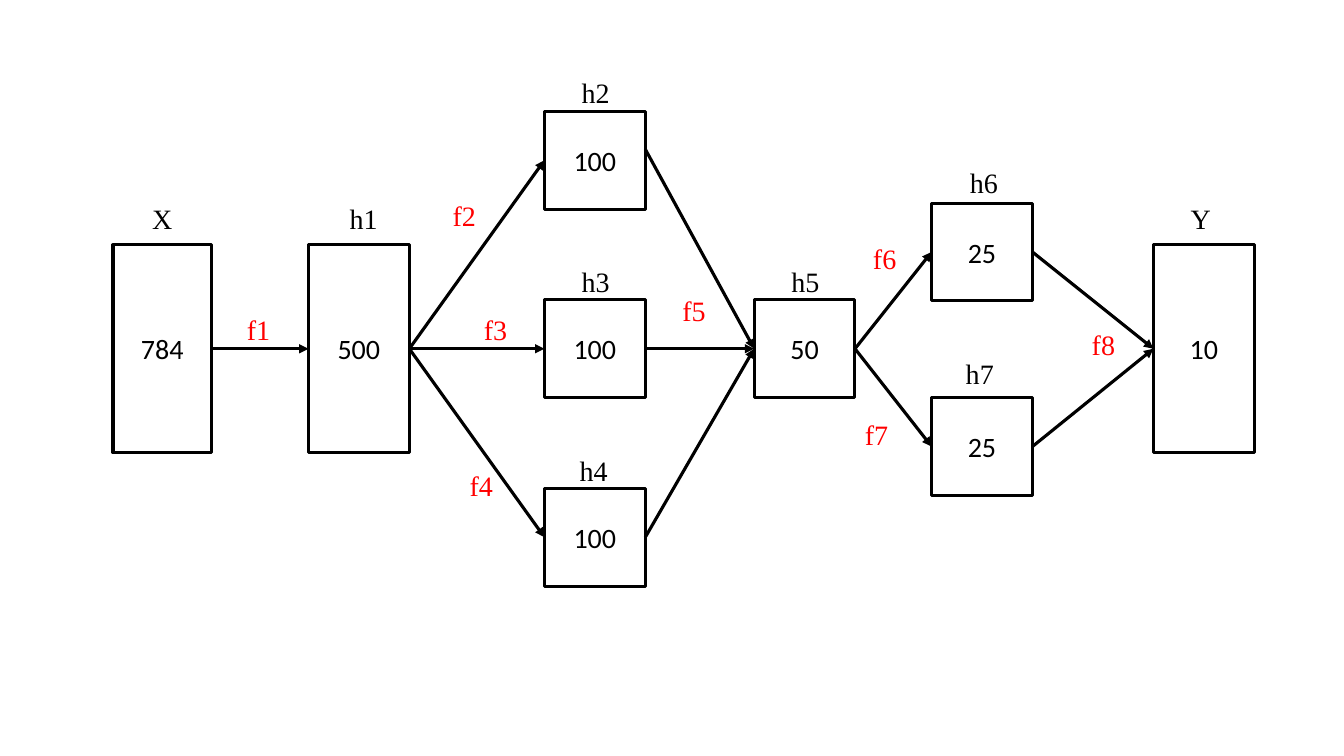
from dataclasses import dataclass
from pptx import Presentation
from pptx import util as u
from pptx.dml.color import RGBColor
from pptx.enum import shapes, text
from pptx.oxml.ns import qn
from lxml import etree


@dataclass(frozen=True)
class Theme:
    ink = RGBColor(0, 0, 0)
    paper = RGBColor(255, 255, 255)
    red = RGBColor(255, 0, 0)
    size = u.Pt(20)
    line = u.Pt(2.25)
    sans = "Calibri"
    serif = "Times New Roman"


THEME = Theme()
LEFT, RIGHT = 1, 3
AXIS = 3.46
TALL, SHORT = 2.06, 0.97

NODES = {
    "X": ("784", 1.12, AXIS, 0.98, TALL),
    "h1": ("500", 3.06, AXIS, 1, TALL),
    "h2": ("100", 5.4, 1.59, 1, SHORT),
    "h3": ("100", 5.4, AXIS, 1, SHORT),
    "h4": ("100", 5.4, 5.33, 1, SHORT),
    "h5": ("50", 7.48, AXIS, 1, SHORT),
    "h6": ("25", 9.24, 2.5, 1, SHORT),
    "h7": ("25", 9.24, 4.43, 1, SHORT),
    "Y": ("10", 11.44, AXIS, 1, TALL),
}
EDGES = [
    ("X", "h1"), ("h1", "h3"), ("h1", "h2"), ("h1", "h4"),
    ("h2", "h5"), ("h3", "h5"), ("h4", "h5"),
    ("h5", "h6"), ("h5", "h7"), ("h6", "Y"), ("h7", "Y"),
]
STARTS = {("h2", "h5"): 1.48}
NAMES = [
    ("X", 1.41, 1.95, 0.41), ("h1", 3.37, 1.95, 0.48),
    ("h2", 5.67, 0.7, 0.48), ("h3", 5.67, 2.58, 0.48),
    ("h4", 5.65, 4.45, 0.48), ("h5", 7.75, 2.58, 0.48),
    ("h6", 9.52, 1.59, 0.48), ("h7", 9.48, 3.49, 0.48),
    ("Y", 11.71, 1.95, 0.41),
]
STEPS = [
    ("f1", 2.35, 3.05), ("f2", 4.39, 1.92), ("f3", 4.7, 3.05),
    ("f4", 4.56, 4.6), ("f5", 6.67, 2.86), ("f6", 8.56, 2.35),
    ("f7", 8.48, 4.09), ("f8", 10.73, 3.2),
]


def write(frame, words, face, color):
    par = frame.paragraphs[0]
    par.text = words
    par.font.name = face
    par.font.size = THEME.size
    par.font.color.rgb = color
    return par


def add_node(slide, count, left, mid, width, height):
    box = slide.shapes.add_shape(
        shapes.MSO_SHAPE.RECTANGLE, u.Inches(left), u.Inches(mid - height / 2),
        u.Inches(width), u.Inches(height))
    box.shadow.inherit = False
    box.fill.solid()
    box.fill.fore_color.rgb = THEME.paper
    box.line.color.rgb = THEME.ink
    box.line.width = THEME.line
    box.text_frame.vertical_anchor = text.MSO_ANCHOR.MIDDLE
    par = write(box.text_frame, count, THEME.sans, THEME.ink)
    par.alignment = text.PP_ALIGN.CENTER
    return box


def add_arrow(slide, source, target, start=None):
    left = source.left + source.width
    top = u.Inches(start or 0)
    link = slide.shapes.add_connector(
        shapes.MSO_CONNECTOR.STRAIGHT, left, top, target.left, target.top)
    if start is None:
        link.begin_connect(source, RIGHT)
    link.end_connect(target, LEFT)
    link.line.color.rgb = THEME.ink
    link.line.width = THEME.line
    tip = etree.SubElement(link.line._get_or_add_ln(), qn("a:tailEnd"))
    tip.set("type", "triangle")
    etree.SubElement(link._element.spPr, qn("a:effectLst"))


def add_label(slide, words, left, top, width, color):
    box = slide.shapes.add_textbox(
        u.Inches(left), u.Inches(top), u.Inches(width), u.Inches(0.44))
    frame = box.text_frame
    frame.word_wrap = False
    frame.auto_size = text.MSO_AUTO_SIZE.SHAPE_TO_FIT_TEXT
    write(frame, words, THEME.serif, color)


def main():
    deck = Presentation()
    deck.slide_width = u.Inches(13.33)
    deck.slide_height = u.Inches(7.5)
    slide = deck.slides.add_slide(deck.slide_layouts[6])
    nodes = {name: add_node(slide, *data) for name, data in NODES.items()}
    for edge in EDGES:
        source, target = edge
        add_arrow(slide, nodes[source], nodes[target], STARTS.get(edge))
    for name, left, top, width in NAMES:
        add_label(slide, name, left, top, width, THEME.ink)
    for step, left, top in STEPS:
        add_label(slide, step, left, top, 0.44, THEME.red)
    deck.save("out.pptx")


main()
